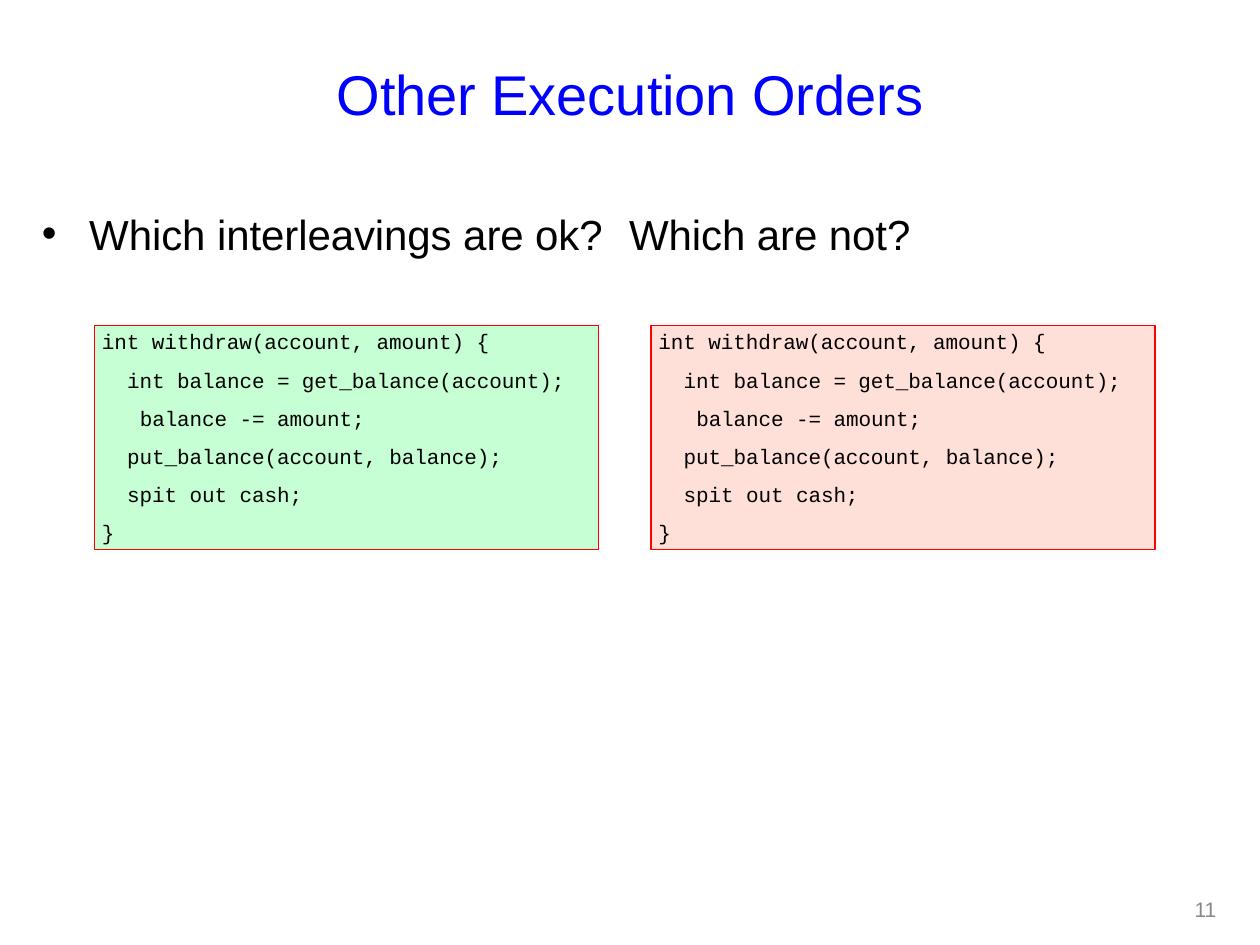
from lxml.etree import SubElement
from pptx import Presentation
from pptx.dml.color import RGBColor
from pptx.enum.shapes import MSO_SHAPE
from pptx.enum.text import MSO_ANCHOR, MSO_AUTO_SIZE, PP_ALIGN
from pptx.oxml.ns import qn
from pptx.util import Pt


def rgb(hex_color):
    return RGBColor.from_string(hex_color)


def fill_frame(frame, lines, font, size, color, top_inset=0.0):
    """Write one paragraph per line, in one font, without side insets."""
    frame.text = "\n".join(lines)
    frame.word_wrap = True
    frame.auto_size = MSO_AUTO_SIZE.NONE
    frame.vertical_anchor = MSO_ANCHOR.TOP
    frame.margin_left = frame.margin_right = frame.margin_bottom = 0
    frame.margin_top = Pt(top_inset)
    for paragraph in frame.paragraphs:
        for run in paragraph.runs:
            run.font.name = font
            run.font.size = Pt(size)
            run.font.color.rgb = rgb(color)
            run.font._element.set("spc", "-5")


prs = Presentation()
prs.slide_width, prs.slide_height = Pt(720), Pt(540)
slide = prs.slides.add_slide(prs.slide_layouts[1])

# Title
title = slide.shapes.title
title.left, title.top, title.width, title.height = Pt(190), Pt(33), Pt(340), Pt(40)
fill_frame(title.text_frame, ["Other Execution Orders"], "Arial", 32, "0000FF", 1)
title.text_frame.paragraphs[0].space_before = Pt(1)

# Question, with a tab stop between its two halves
question = slide.placeholders[1]
question.left, question.top, question.width, question.height = Pt(23), Pt(118), Pt(502), Pt(31)
fill_frame(question.text_frame, ["Which interleavings are ok?\tWhich are not?"],
           "Arial", 24, "000000", 1)
question_line = question.text_frame.paragraphs[0]
question_line.space_before = Pt(1)
question_format = question_line._p.get_or_add_pPr()
question_format.set("marL", str(Pt(28)))
question_format.set("indent", str(Pt(-27)))
tab_stops = SubElement(question_format, qn("a:tabLst"))
SubElement(tab_stops, qn("a:tab"), pos=str(Pt(336.5)), algn="l")

# The same code in two threads: (indent, line)
code = [
    (4.3, "int withdraw(account, amount) {"),
    (18.7, "int balance = get_balance(account);"),
    (25.9, "balance -= amount;"),
    (18.7, "put_balance(account, balance);"),
    (18.7, "spit out cash;"),
    (4.3, "}"),
]
for left, background in [(54, "C5FFD3"), (372, "FFE0D9")]:
    thread = slide.shapes.add_shape(MSO_SHAPE.RECTANGLE, Pt(left), Pt(186), Pt(288), Pt(128))
    thread.shadow.inherit = False
    thread.fill.solid()
    thread.fill.fore_color.rgb = rgb(background)
    thread.line.color.rgb = rgb("FF0000")
    thread.line.width = Pt(1)
    fill_frame(thread.text_frame, [line for _, line in code],
               "Courier New", 12, "000000", 2)
    for number, (indent, _) in enumerate(code):
        paragraph = thread.text_frame.paragraphs[number]
        paragraph.alignment = PP_ALIGN.LEFT
        paragraph.space_before = Pt(7.4 if number else 2)
        paragraph._p.get_or_add_pPr().set("marL", str(Pt(indent)))

# Page number
page_number = slide.shapes.add_textbox(Pt(679.7), Pt(512.6), Pt(24), Pt(15))
fill_frame(page_number.text_frame, ["11"], "Arial", 12, "888888")
page_line = page_number.text_frame.paragraphs[0]
page_line.line_spacing = Pt(14.2)
page_line._p.get_or_add_pPr().set("marL", str(Pt(3)))

prs.save("out.pptx")
